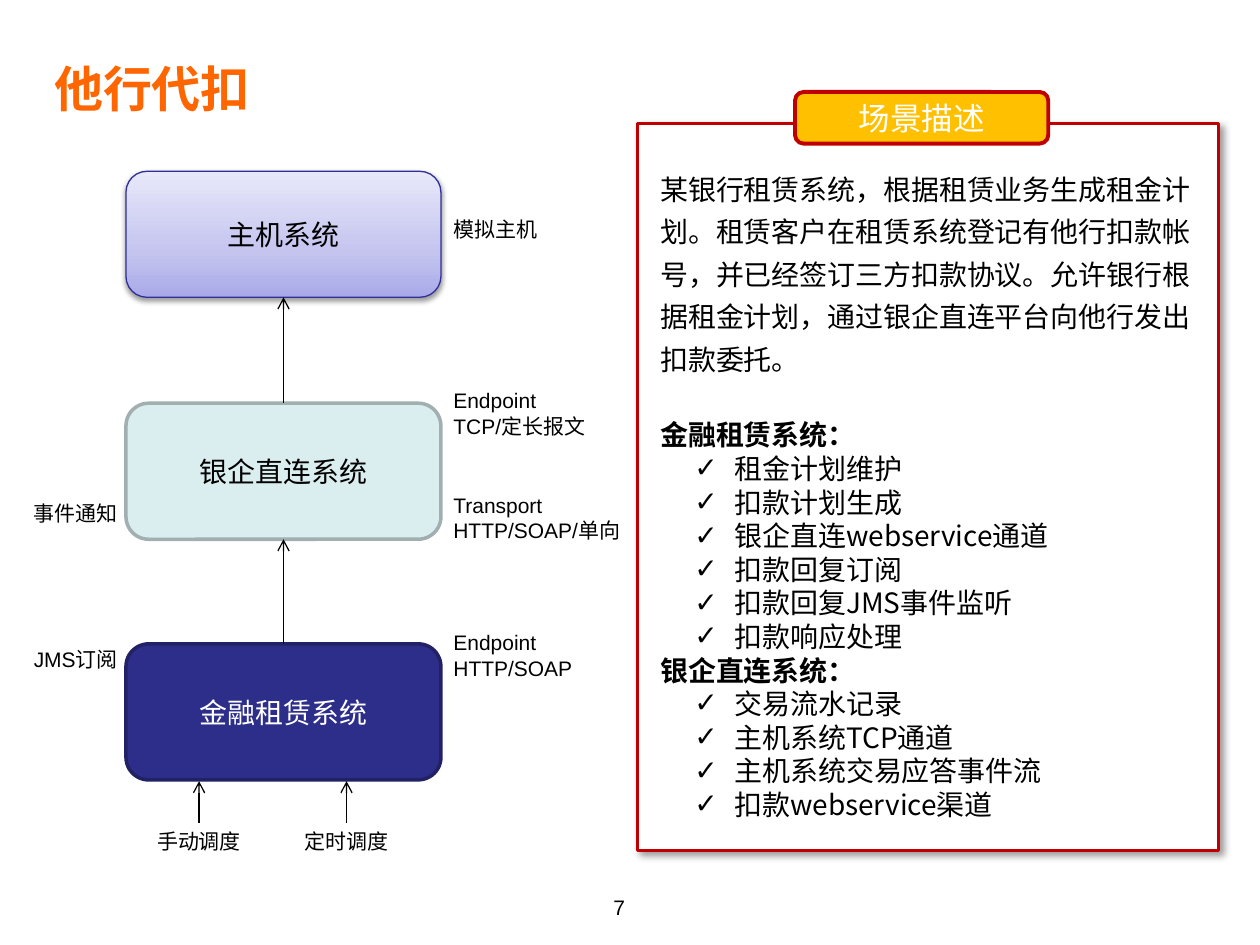
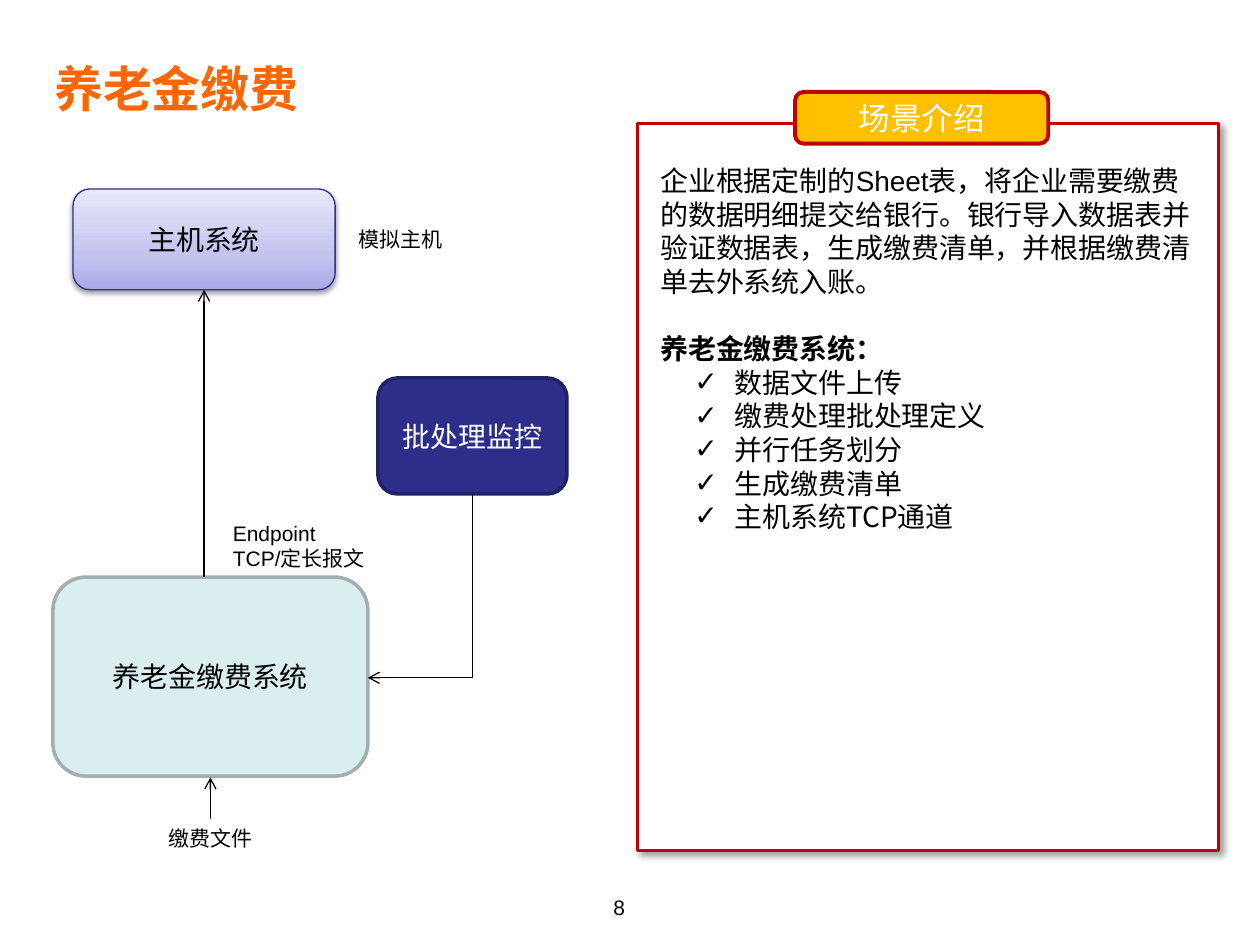
from lxml import etree
from pptx import Presentation
from pptx.dml.color import RGBColor
from pptx.enum.shapes import MSO_CONNECTOR, MSO_SHAPE
from pptx.enum.text import MSO_ANCHOR, MSO_AUTO_SIZE, PP_ALIGN
from pptx.oxml.ns import qn
from pptx.util import Inches, Pt

LEFT, MID = PP_ALIGN.LEFT, PP_ALIGN.CENTER
TOP, CORE, LOW = MSO_ANCHOR.TOP, MSO_ANCHOR.MIDDLE, MSO_ANCHOR.BOTTOM
RECT, ROUND = MSO_SHAPE.RECTANGLE, MSO_SHAPE.ROUNDED_RECTANGLE
ARIAL, NOTO = "Arial", "Noto Sans CJK SC"
BLACK, WHITE, RED, GOLD, ORANGE = "000000", "FFFFFF", "C00000", "FFC000", "FF6600"
LEAD = 1.2  # line height as a share of the text size

# Box looks: fill, line, line width, text colour, shadow (alpha, blur, distance, angle)
LOOKS = {
    "host": ([(0, "A9A9E9"), (35, "C4C4EF"), (100, "E8E8FA")],
             "2F2F98", 0.75, BLACK, (38, 3.1, 1.6, 90)),
    "link": ("DAEDEF", "A1AFB1", 2, BLACK, None),
    "app": ("2D2D8A", "212166", 2, WHITE, None),
    "card": (WHITE, RED, 1.5, BLACK, (40, 4, 3, 45)),
    "tab": (GOLD, RED, 2.25, WHITE, None),
}

# Boxes: look, place, text. Arrows: tip, tail. Labels: left, top, width, align, lines.
SLIDES = [
    {
        "title": "他行代扣", "page": "7", "tab": "场景描述", "lead": 24.2,
        "intro": "某银行租赁系统，根据租赁业务生成租金计划。租赁客户在租赁系统登记有他行扣款帐号，"
                 "并已经签订三方扣款协议。允许银行根据租金计划，通过银企直连平台向他行发出扣款委托。",
        "lists": [
            ("金融租赁系统：", ["租金计划维护", "扣款计划生成", "银企直连webservice通道",
                          "扣款回复订阅", "扣款回复JMS事件监听", "扣款响应处理"]),
            ("银企直连系统：", ["交易流水记录", "主机系统TCP通道",
                          "主机系统交易应答事件流", "扣款webservice渠道"]),
        ],
        "boxes": [
            ("link", (1, 3.2, 2.5, 1.08), "银企直连系统"),
            ("app", (1, 5.11, 2.5, 1.08), "金融租赁系统"),
            ("host", (1, 1.36, 2.5, 1), "主机系统"),
        ],
        "arrows": [
            ((1.58, 6.2), (1.58, 6.53)),
            ((2.75, 6.2), (2.75, 6.53)),
            ((2.25, 4.28), (2.25, 5.11)),
            ((2.25, 2.36), (2.25, 3.2)),
        ],
        "labels": [
            (1.08, 6.53, 1, MID, ["手动调度"]),
            (2.25, 6.53, 1, MID, ["定时调度"]),
            (3.5, 4.95, 1.58, LEFT, ["Endpoint", "HTTP/SOAP"]),
            (3.5, 3.86, 1.67, LEFT, ["Transport", "HTTP/SOAP/单向"]),
            (3.5, 3.03, 1.5, LEFT, ["Endpoint", "TCP/定长报文"]),
            (3.5, 1.67, 1, LEFT, ["模拟主机"]),
            (0.17, 3.92, 1, LEFT, ["事件通知"]),
            (0.17, 5.08, 1, LEFT, ["JMS订阅"]),
        ],
    },
    {
        "title": "养老金缴费", "page": "8", "tab": "场景介绍", "lead": 19.2,
        "intro": "企业根据定制的Sheet表，将企业需要缴费的数据明细提交给银行。银行导入数据表并验证数据表，"
                 "生成缴费清单，并根据缴费清单去外系统入账。",
        "lists": [
            ("养老金缴费系统：", ["数据文件上传", "缴费处理批处理定义", "并行任务划分",
                           "生成缴费清单", "主机系统TCP通道"]),
        ],
        "boxes": [
            ("link", (0.42, 4.58, 2.5, 1.58), "养老金缴费系统"),
            ("app", (3, 3, 1.5, 0.92), "批处理监控"),
            ("host", (0.58, 1.5, 2.08, 0.8), "主机系统"),
        ],
        "arrows": [
            ((1.67, 6.17), (1.67, 6.5)),
            ((2.92, 5.38), (3.75, 3.92)),
            ((1.62, 2.3), (1.62, 4.58)),
        ],
        "labels": [
            (1.17, 6.5, 1, MID, ["缴费文件"]),
            (2.75, 1.75, 1, LEFT, ["模拟主机"]),
            (1.75, 4.08, 1.5, LEFT, ["Endpoint", "TCP/定长报文"]),
        ],
    },
]


def rgb(code):
    return RGBColor.from_string(code)


def node(root, tag, **attrs):
    """Add one drawing element with its attributes."""
    item = etree.SubElement(root, qn("a:" + tag))
    for key, val in attrs.items():
        item.set(key, str(val))
    return item


def place(shape, at):
    shape.left, shape.top, shape.width, shape.height = map(Inches, at)


def frame(shape, anchor, wrap=True):
    text = shape.text_frame
    text.auto_size = MSO_AUTO_SIZE.NONE
    text.word_wrap = wrap
    text.vertical_anchor = anchor
    return text


def write(text, first, words, size, color=BLACK, font=ARIAL, bold=False,
          align=LEFT, lead=None, gap=0):
    """Fill the first paragraph or add a new one."""
    para = text.paragraphs[0] if first else text.add_paragraph()
    para.alignment = align
    para.line_spacing = Pt(lead or size * LEAD)
    para.space_before = Pt(gap)
    run = para.add_run()
    run.text = words
    run.font.size, run.font.bold, run.font.name = Pt(size), bold, font
    run.font.color.rgb = rgb(color)
    node(run.font._element, "ea", typeface=NOTO)
    return para


def indent(para, left=0, hang=0, mark=None):
    props = para._p.get_or_add_pPr()
    props.set("marL", str(Inches(left)))
    props.set("indent", str(-Inches(hang)))
    if mark:
        node(props, "buFont", typeface=ARIAL)
        node(props, "buChar", char=mark)
    else:
        node(props, "buNone")


def paint(shape, fill):
    if isinstance(fill, str):
        shape.fill.solid()
        shape.fill.fore_color.rgb = rgb(fill)
        return
    shape.fill.gradient()
    grad = shape._element.spPr.find(qn("a:gradFill"))
    for child in list(grad):
        grad.remove(child)
    stops = node(grad, "gsLst")
    for pos, code in fill:
        node(node(stops, "gs", pos=pos * 1000), "srgbClr", val=code)
    node(grad, "lin", ang=270 * 60000, scaled=0)


def box(slide, look, at, words=None, kind=ROUND, size=16, font=ARIAL):
    fill, edge, width, ink, shade = LOOKS[look]
    shape = slide.shapes.add_shape(kind, *map(Inches, at))
    paint(shape, fill)
    shape.line.color.rgb = rgb(edge)
    shape.line.width = Pt(width)
    shape.shadow.inherit = False
    if shade:
        alpha, blur, dist, ang = shade
        root = shape._element.spPr.find(qn("a:effectLst"))
        cast = node(root, "outerShdw", blurRad=Pt(blur), dist=Pt(dist),
                    dir=ang * 60000, algn="tl", rotWithShape=0)
        node(node(cast, "srgbClr", val=BLACK), "alpha", val=alpha * 1000)
    if words:
        write(frame(shape, CORE, False), True, words, size, ink, font, align=MID)


def arrow(slide, tip, tail):
    """Straight when the ends line up, else with one bend."""
    bent = tip[0] != tail[0]
    kind = MSO_CONNECTOR.ELBOW if bent else MSO_CONNECTOR.STRAIGHT
    line = slide.shapes.add_connector(kind, *map(Inches, tip + tail))
    line.line.color.rgb = rgb(BLACK)
    line.line.width = Pt(0.75)
    props = line._element.spPr
    if bent:
        props.find(qn("a:prstGeom")).set("prst", "bentConnector2")
    node(props.find(qn("a:ln")), "headEnd", type="arrow")
    node(props, "effectLst")


def label(slide, at, align, lines, anchor=TOP):
    text = frame(slide.shapes.add_textbox(*map(Inches, at)), anchor)
    for num, words in enumerate(lines):
        write(text, num == 0, words, 12, align=align)


def panel(slide, body, data):
    """Card, its text and the tab on its top edge."""
    box(slide, "card", (5.06, 0.98, 4.61, 5.77), kind=RECT)
    slide.shapes._spTree.append(body._element)
    place(body, (5.14, 1.25, 4.52, 5.65))
    text = frame(body, TOP)
    indent(write(text, True, data["intro"], 16, lead=data["lead"]))
    gap = data["lead"]
    for head, items in data["lists"]:
        indent(write(text, False, head, 16, font=NOTO, bold=True, gap=gap))
        gap = 0
        for item in items:
            indent(write(text, False, item, 16, font=NOTO), 0.59, 0.32, "✓")
    box(slide, "tab", (6.31, 0.73, 2.01, 0.41), data["tab"], size=18, font=NOTO)


def build(deck, data):
    slide = deck.slides.add_slide(deck.slide_layouts[1])
    title, body = slide.placeholders
    place(title, (0.33, 0.39, 9.42, 0.61))
    write(frame(title, CORE), True, data["title"], 28, ORANGE, bold=True)
    label(slide, (3.75, 6.83, 2.33, 0.52), MID, [data["page"]], LOW)
    for look, at, words in data["boxes"]:
        box(slide, look, at, words)
    for tip, tail in data["arrows"]:
        arrow(slide, tip, tail)
    for left, top, width, align, lines in data["labels"]:
        label(slide, (left, top, width, 0.1 + 0.2 * len(lines)), align, lines)
    panel(slide, body, data)


def main():
    deck = Presentation()
    deck.slide_width, deck.slide_height = Inches(10), Inches(7.5)
    for data in SLIDES:
        build(deck, data)
    deck.save("out.pptx")


if __name__ == "__main__":
    main()
